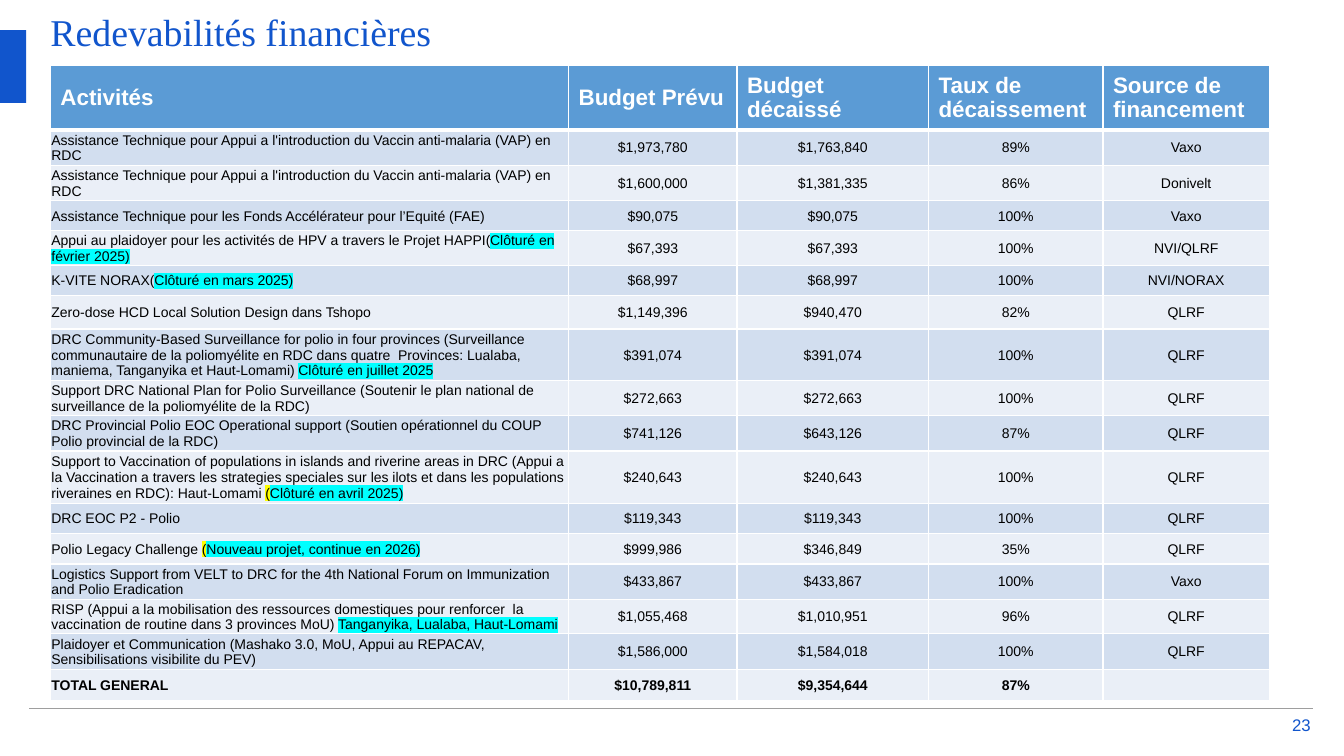
from lxml.etree import SubElement
from pptx import Presentation
from pptx.dml.color import RGBColor
from pptx.enum.shapes import MSO_CONNECTOR, MSO_SHAPE
from pptx.enum.text import MSO_ANCHOR, PP_ALIGN
from pptx.oxml import parse_xml
from pptx.oxml.ns import nsdecls, qn
from pptx.util import Inches, Pt


def rgb(color):
    return RGBColor.from_string(color)


def add_text(p, text, size=10, color="000000", font="Arial", bold=False, align=PP_ALIGN.LEFT, highlight=None):
    p.alignment = align
    r = p.add_run()
    r.text = text
    r.font.size = Pt(size)
    r.font.name = font
    r.font.bold = bold
    r.font.color.rgb = rgb(color)
    if highlight:
        r.font.fill._xPr.find(qn("a:solidFill")).addnext(parse_xml(
            f'<a:highlight {nsdecls("a")}><a:srgbClr val="{highlight}"/></a:highlight>'))


BLUE = "1155CC"
CYAN = "00FFFF"
YELLOW = "FFFF00"

prs = Presentation()
prs.slide_width = Inches(13.33)
prs.slide_height = Inches(7.5)
s = prs.slides.add_slide(prs.slide_layouts[5])

title = s.shapes.title
title.left, title.top, title.width, title.height = [Inches(v) for v in (0.5, 0.09, 12.33, 0.8)]
number = s.shapes.add_textbox(Inches(12.75), Inches(7.1), Inches(0.25), Inches(0.18))
for sp, anchor in ((title, MSO_ANCHOR.TOP), (number, MSO_ANCHOR.MIDDLE)):
    tf = sp.text_frame
    tf.word_wrap = True
    tf.vertical_anchor = anchor
    tf.margin_left = tf.margin_right = tf.margin_top = tf.margin_bottom = 0
add_text(title.text_frame.paragraphs[0], "Redevabilités financières", size=27, color=BLUE, font="Times New Roman")
add_text(number.text_frame.paragraphs[0], "23", size=12, color=BLUE, align=PP_ALIGN.RIGHT)

bar = s.shapes.add_shape(MSO_SHAPE.RECTANGLE, 0, Inches(0.3), Inches(0.26), Inches(0.72))
bar.shadow.inherit = False
bar.fill.solid()
bar.fill.fore_color.rgb = rgb(BLUE)
bar.line.fill.background()

rule = s.shapes.add_connector(MSO_CONNECTOR.STRAIGHT, Inches(0.29), Inches(7.03), Inches(13.02), Inches(7.03))
rule.line.color.rgb = rgb("9E9E9E")
rule.line.width = Pt(1)
SubElement(rule._element.spPr, qn("a:effectLst"))

rows = [
    (0.64, "Activités", "Budget Prévu", "Budget décaissé", "Taux de décaissement", "Source de financement"),
    (0.35, "Assistance Technique pour Appui a l'introduction du Vaccin anti-malaria (VAP) en RDC",
     "$1,973,780", "$1,763,840", "89%", "Vaxo"),
    (0.35, "Assistance Technique pour Appui a l'introduction du Vaccin anti-malaria (VAP) en RDC",
     "$1,600,000", "$1,381,335", "86%", "Donivelt"),
    (0.3, "Assistance Technique pour les Fonds Accélérateur pour l’Equité (FAE)",
     "$90,075", "$90,075", "100%", "Vaxo"),
    (0.3, "Appui au plaidoyer pour les activités de HPV a travers le Projet HAPPI(|Clôturé en février 2025)",
     "$67,393", "$67,393", "100%", "NVI/QLRF"),
    (0.3, "K-VITE NORAX(|Clôturé en mars 2025)", "$68,997", "$68,997", "100%", "NVI/NORAX"),
    (0.33, "Zero-dose HCD Local Solution Design dans Tshopo", "$1,149,396", "$940,470", "82%", "QLRF"),
    (0.35, "DRC Community-Based Surveillance for polio in four provinces (Surveillance communautaire de la "
     "poliomyélite en RDC dans quatre  Provinces: Lualaba, maniema, Tanganyika et Haut-Lomami) "
     "|Clôturé en juillet 2025", "$391,074", "$391,074", "100%", "QLRF"),
    (0.35, "Support DRC National Plan for Polio Surveillance (Soutenir le plan national de surveillance de la "
     "poliomyélite de la RDC)", "$272,663", "$272,663", "100%", "QLRF"),
    (0.35, "DRC Provincial Polio EOC Operational support (Soutien opérationnel du COUP Polio provincial de la RDC)",
     "$741,126", "$643,126", "87%", "QLRF"),
    (0.52, "Support to Vaccination of populations in islands and riverine areas in DRC (Appui a la Vaccination a "
     "travers les strategies speciales sur les ilots et dans les populations riveraines en RDC): Haut-Lomami "
     "|(Clôturé en avril 2025)", "$240,643", "$240,643", "100%", "QLRF"),
    (0.3, "DRC EOC P2 - Polio", "$119,343", "$119,343", "100%", "QLRF"),
    (0.3, "Polio Legacy Challenge |(Nouveau projet, continue en 2026)", "$999,986", "$346,849", "35%", "QLRF"),
    (0.35, "Logistics Support from VELT to DRC for the 4th National Forum on Immunization and Polio Eradication",
     "$433,867", "$433,867", "100%", "Vaxo"),
    (0.3, "RISP (Appui a la mobilisation des ressources domestiques pour renforcer  la vaccination de routine dans "
     "3 provinces MoU) |Tanganyika, Lualaba, Haut-Lomami", "$1,055,468", "$1,010,951", "96%", "QLRF"),
    (0.35, "Plaidoyer et Communication (Mashako 3.0, MoU, Appui au REPACAV, Sensibilisations visibilite du PEV)",
     "$1,586,000", "$1,584,018", "100%", "QLRF"),
    (0.3, "TOTAL GENERAL", "$10,789,811", "$9,354,644", "87%", ""),
]
widths = [5.14, 1.67, 1.9, 1.73, 1.65]

table = s.shapes.add_table(len(rows), len(widths), Inches(0.5), Inches(0.65),
                           Inches(sum(widths)), Inches(sum(row[0] for row in rows))).table
table.first_row = table.horz_banding = False
for col, width in zip(table.columns, widths):
    col.width = Inches(width)

for i, (height, *texts) in enumerate(rows):
    table.rows[i].height = Inches(height)
    for j, text in enumerate(texts):
        cell = table.cell(i, j)
        cell.vertical_anchor = MSO_ANCHOR.MIDDLE
        tcPr = cell._tc.get_or_add_tcPr()
        for side in "LRTB":
            points = 3 if (i, side) in ((0, "B"), (1, "T")) else 1
            tcPr.append(parse_xml(
                f'<a:ln{side} {nsdecls("a")} w="{Pt(points)}"><a:solidFill>'
                f'<a:srgbClr val="FFFFFF"/></a:solidFill></a:ln{side}>'))
        cell.fill.solid()
        cell.fill.fore_color.rgb = rgb("5B9BD5" if i == 0 else "D2DEEF" if i % 2 else "EAEFF7")
        p = cell.text_frame.paragraphs[0]
        if i == 0:
            add_text(p, text, size=16, color="FFFFFF", bold=True)
            continue
        cell.margin_left = cell.margin_right = cell.margin_top = Inches(0.01)
        cell.margin_bottom = 0
        plain, _, status = text.partition("|")
        note = status.removeprefix("(")
        bracket = status[:len(status) - len(note)]
        for part, highlight in ((plain, None), (bracket, YELLOW), (note, CYAN)):
            if part:
                add_text(p, part, bold=i == len(rows) - 1, highlight=highlight,
                         align=PP_ALIGN.CENTER if j else PP_ALIGN.LEFT)

prs.save("out.pptx")
